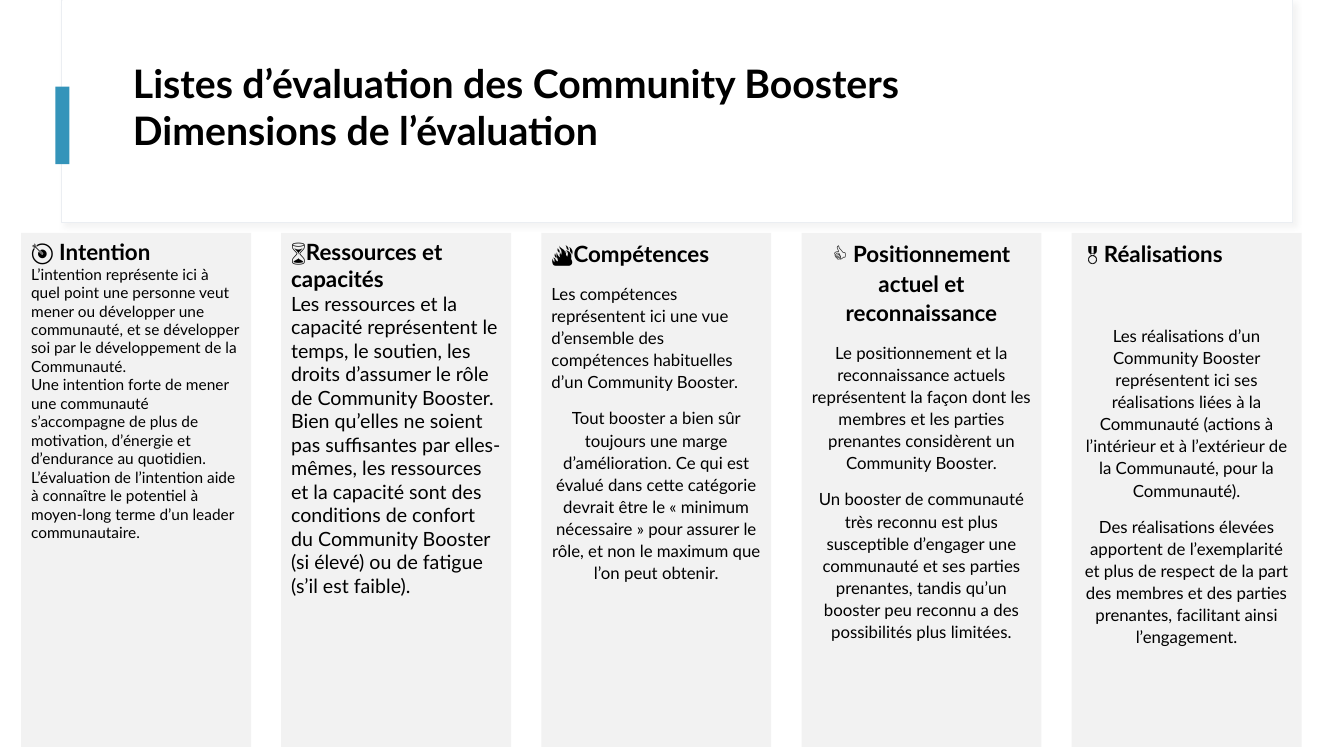
from lxml import etree
from pptx import Presentation, util as u
from pptx.dml.color import RGBColor
from pptx.enum import shapes, text
from pptx.oxml import ns

Pt = u.Pt
LEFT, CENTER = text.PP_ALIGN.LEFT, text.PP_ALIGN.CENTER

# Content
TITLE = "Listes d’évaluation des Community Boosters\vDimensions de l’évaluation"
# Each column: width, body size, line spacing, paragraphs (text, alignment, space before)
COLUMNS = [
    (164.2, 11, 1.0, [
        ("🎯 Intention", LEFT, 0),
        ("L’intention représente ici à quel point une personne veut mener ou développer une "
         "communauté, et se développer soi par le développement de la Communauté.", LEFT, 0),
        ("Une intention forte de mener une communauté s’accompagne de plus de motivation, "
         "d’énergie et d’endurance au quotidien.", LEFT, 0),
        ("L’évaluation de l’intention aide à connaître le potentiel à moyen-long terme "
         "d’un leader communautaire.", LEFT, 0)]),
    (164.2, 14, 1.0, [
        ("⌛Ressources et capacités", LEFT, 0),
        ("Les ressources et la capacité représentent le temps, le soutien, les droits "
         "d’assumer le rôle de Community Booster.", LEFT, 0),
        ("Bien qu’elles ne soient pas suffisantes par elles-mêmes, les ressources et la "
         "capacité sont des conditions de confort du Community Booster (si élevé) ou de "
         "fatigue (s’il est faible).", LEFT, 0)]),
    (164.2, 12, 1.1, [
        ("🔥Compétences", LEFT, 0),
        ("Les compétences représentent ici une vue d’ensemble des compétences habituelles "
         "d’un Community Booster.", LEFT, 10),
        ("Tout booster a bien sûr toujours une marge d’amélioration. Ce qui est évalué dans "
         "cette catégorie devrait être le « minimum nécessaire » pour assurer le rôle, et non "
         "le maximum que l’on peut obtenir.", CENTER, 10)]),
    (171.4, 12, 1.1, [
        ("👍 Positionnement actuel et reconnaissance", CENTER, 0),
        ("Le positionnement et la reconnaissance actuels représentent la façon dont les "
         "membres et les parties prenantes considèrent un Community Booster.", CENTER, 10),
        ("Un booster de communauté très reconnu est plus susceptible d’engager une communauté "
         "et ses parties prenantes, tandis qu’un booster peu reconnu a des possibilités plus "
         "limitées.", CENTER, 10)]),
    (164.2, 12, 1.1, [
        ("🎖️Réalisations", LEFT, 0),
        ("Les réalisations d’un Community Booster représentent ici ses réalisations liées à la "
         "Communauté (actions à l’intérieur et à l’extérieur de la Communauté, pour la "
         "Communauté).", CENTER, 40),
        ("Des réalisations élevées apportent de l’exemplarité et plus de respect de la part "
         "des membres et des parties prenantes, facilitant ainsi l’engagement.", CENTER, 10)]),
]
BODY_COLUMN = 2  # this column is the body placeholder
COL_LEFT, COL_TOP, COL_HEIGHT, COL_GAP = 15.1, 166.3, 367.2, 21.6

THEME = dict(font="Lato", ink="000000", panel="F2F2F2", paper="FFFFFF", edge="EBEEF2",
             shadow="D9D9D9", accent="3494BA", title=28, heading=16)


def colour(name):
    return RGBColor.from_string(THEME[name])


def place(sp, left, top, width, height):
    sp.left, sp.top, sp.width, sp.height = Pt(left), Pt(top), Pt(width), Pt(height)


def add_rect(s, left, top, width, height, fill):
    sp = s.shapes.add_shape(shapes.MSO_SHAPE.RECTANGLE, Pt(left), Pt(top), Pt(width), Pt(height))
    sp.shadow.inherit = False
    sp.fill.solid()
    sp.fill.fore_color.rgb = colour(fill)
    sp.line.fill.background()
    return sp


def add_shadow(sp):
    effects = sp.element.spPr.find(ns.qn("a:effectLst"))
    outer = etree.SubElement(effects, ns.qn("a:outerShdw"), blurRad=str(Pt(4)),
                             dist=str(Pt(3)), dir=str(45 * 60000), algn="tl", rotWithShape="0")
    clr = etree.SubElement(outer, ns.qn("a:srgbClr"), val=THEME["shadow"])
    etree.SubElement(clr, ns.qn("a:alpha"), val="30000")


def set_font(p, size, bold):
    for r in p.runs:
        r.font.name, r.font.size, r.font.bold = THEME["font"], Pt(size), bold
        r.font.color.rgb = colour("ink")


def fill_column(sp, size, spacing, paragraphs):
    tf = sp.text_frame
    tf.word_wrap = True
    tf.auto_size = text.MSO_AUTO_SIZE.NONE
    tf.vertical_anchor = text.MSO_ANCHOR.TOP
    for i, (words, align, before) in enumerate(paragraphs):
        p = tf.paragraphs[0] if i == 0 else tf.add_paragraph()
        p.text = words
        pPr = p._p.get_or_add_pPr()
        pPr.set("marL", "0")
        pPr.set("indent", "0")
        etree.SubElement(pPr, ns.qn("a:buNone"))
        p.alignment, p.line_spacing = align, spacing
        p.space_before, p.space_after = Pt(before), Pt(0)
        set_font(p, THEME["heading"] if i == 0 else size, i == 0)


def main():
    prs = Presentation()
    prs.slide_width, prs.slide_height = Pt(960), Pt(540)
    s = prs.slides.add_slide(prs.slide_layouts[1])
    title, body = s.shapes.title, s.placeholders[1]
    tree = title.element.getparent()

    # Header frame and accent bar
    frame = add_rect(s, 43.9, 0, 879.1, 159.1, "paper")
    frame.line.color.rgb = colour("edge")
    frame.line.width = Pt(0.75)
    add_shadow(frame)
    add_rect(s, 44.6, 0, 878.4, 158.4, "paper")
    add_rect(s, 39.6, 61.9, 10.1, 55.4, "accent")

    # Title, in front of the frame
    tree.append(title.element)
    place(title, 87.8, 43.2, 800.6, 92.9)
    tf = title.text_frame
    tf.text = TITLE
    tf.word_wrap = True
    tf.auto_size = text.MSO_AUTO_SIZE.NONE
    tf.vertical_anchor = text.MSO_ANCHOR.MIDDLE
    tf.margin_bottom = Pt(31.6)
    p = tf.paragraphs[0]
    p.alignment, p.line_spacing = LEFT, 1.0
    set_font(p, THEME["title"], True)

    # Columns, left to right with equal gaps
    left = COL_LEFT
    for i, (width, size, spacing, paragraphs) in enumerate(COLUMNS):
        if i == BODY_COLUMN:
            sp = body
            tree.append(sp.element)
            place(sp, left, COL_TOP, width, COL_HEIGHT)
            sp.fill.solid()
            sp.fill.fore_color.rgb = colour("panel")
        else:
            sp = add_rect(s, left, COL_TOP, width, COL_HEIGHT, "panel")
        fill_column(sp, size, spacing, paragraphs)
        left += width + COL_GAP

    prs.save("out.pptx")


if __name__ == "__main__":
    main()
